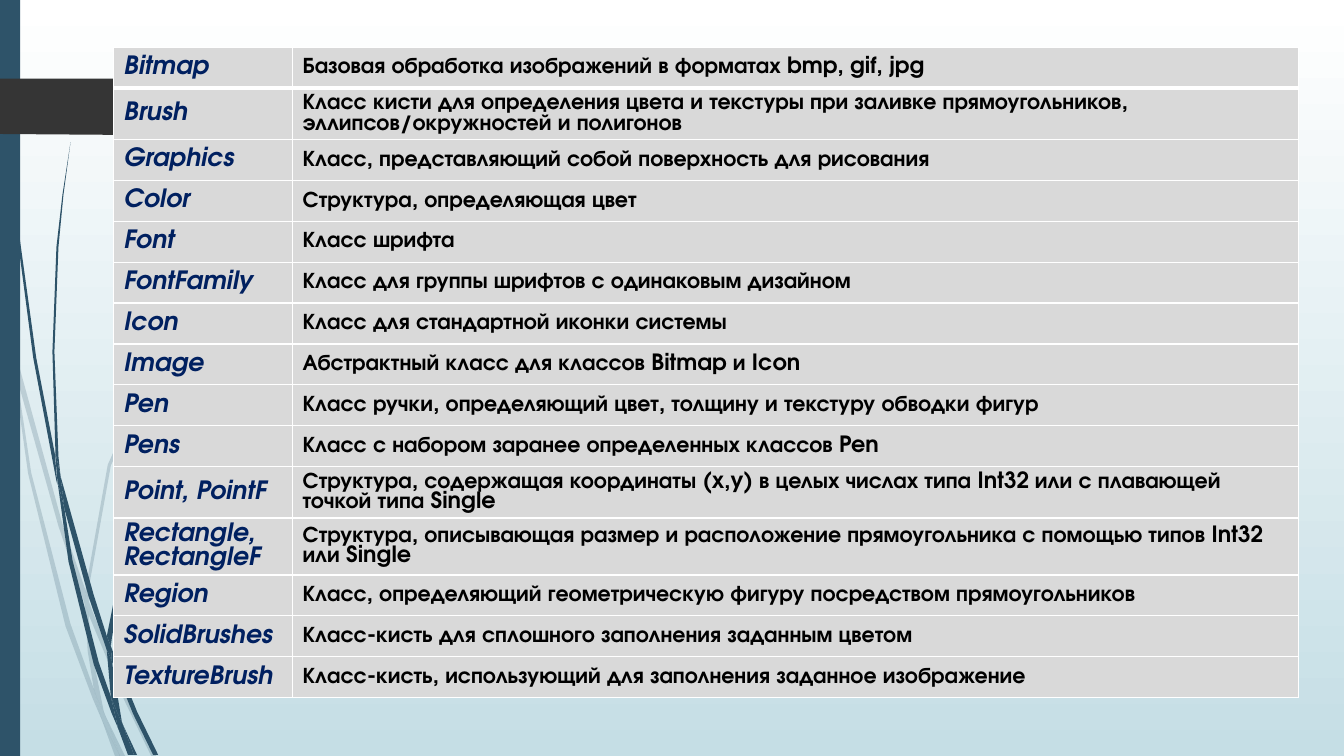
from dataclasses import dataclass

import pptx
import pptx.dml.color
import pptx.enum.shapes
import pptx.enum.text
import pptx.oxml
import pptx.oxml.ns
import pptx.util
from pptx.dml.color import RGBColor
from pptx.util import Cm

TEAL = RGBColor(0x2E, 0x53, 0x69)
CHARCOAL = RGBColor(0x35, 0x35, 0x35)
WHITE = RGBColor(0xFF, 0xFF, 0xFF)
SKY = RGBColor(0xC5, 0xDE, 0xE5)
GREY = RGBColor(0xD9, 0xD9, 0xD9)
NAVY = RGBColor(0x00, 0x20, 0x60)
BLACK = RGBColor(0x00, 0x00, 0x00)
FONT = "TeX Gyre Adventor"
UNIT = Cm(0.0254)  # grid step of the outlines below


@dataclass
class Outline:
    points: list[tuple[int, int]]
    color: RGBColor = TEAL
    opacity: int = 100


@dataclass
class TextStyle:
    size: int
    color: RGBColor
    italic: bool


@dataclass
class Entry:
    name: str
    meaning: str


NAME_STYLE = TextStyle(18, NAVY, True)
MEANING_STYLE = TextStyle(16, BLACK, False)

PALE_BLADES = [
    [(11, 350), (9, 322), (0, 282), (0, 299), (10, 344)],
    [(58, 522), (84, 599), (85, 586), (62, 520), (14, 345), (17, 376)],
    [(92, 607), (88, 596), (88, 610), (123, 694), (150, 750), (155, 750), (127, 692)],
    [(119, 750), (124, 750), (105, 711)],
    [(93, 683), (70, 619), (31, 469), (17, 376), (11, 350), (28, 470), (65, 621),
     (92, 693), (101, 714), (99, 707)],
    [(84, 599), (87, 646), (93, 683), (96, 692), (105, 711), (103, 706), (91, 646),
     (88, 610), (88, 608)],
    [(88, 584), (110, 462), (160, 349), (229, 245), (268, 198), (290, 175), (312, 154),
     (312, 153), (289, 175), (268, 197), (228, 244), (158, 348), (107, 461), (85, 584),
     (85, 586), (88, 596)],
    [(101, 714), (114, 750), (119, 750)],
    [(88, 608), (88, 610), (88, 596), (85, 586), (84, 599)],
    [(96, 692), (93, 683), (99, 707), (101, 714), (119, 750), (105, 711)],
]
DARK_BLADES = [
    [(7, 110), (17, 233), (33, 355), (56, 477), (57, 481), (55, 457), (55, 453),
     (36, 355), (19, 232), (8, 109), (5, 48), (4, 0), (3, 0), (4, 48)],
    [(88, 592), (106, 645), (106, 633), (106, 631), (93, 590), (60, 472), (64, 505)],
    [(113, 649), (110, 641), (111, 656), (132, 708), (152, 749), (157, 749), (136, 706)],
    [(110, 691), (98, 657), (72, 556), (64, 505), (57, 477), (68, 557), (93, 659),
     (111, 708), (117, 722), (116, 717)],
    [(60, 472), (58, 453), (54, 349), (58, 245), (63, 193), (70, 141), (62, 193),
     (56, 245), (52, 349), (55, 449)],
    [(133, 749), (136, 749), (122, 719)],
    [(57, 477), (64, 505), (60, 472), (55, 449), (55, 453)],
    [(111, 633), (125, 552), (158, 476), (205, 406), (231, 374), (245, 359), (261, 344),
     (260, 344), (245, 358), (231, 373), (204, 405), (156, 474), (122, 551), (106, 631),
     (110, 641)],
    [(117, 722), (127, 749), (131, 749)],
    [(106, 645), (110, 691), (116, 706), (122, 719), (121, 716), (111, 656), (109, 651)],
    [(106, 645), (109, 651), (111, 656), (110, 641), (106, 631), (106, 633)],
    [(116, 706), (110, 691), (116, 717), (117, 722), (130, 749), (133, 749), (122, 719)],
]
TAB = [(173, 108), (148, 133), (146, 134), (136, 134), (0, 133), (0, 78), (136, 78),
       (146, 78), (148, 79), (173, 104), (174, 106)]

ENTRIES = [
    Entry("Bitmap", "Базовая обработка изображений в форматах bmp, gif, jpg"),
    Entry("Brush", "Класс кисти для определения цвета и текстуры при заливке "
                   "прямоугольников, эллипсов/окружностей и полигонов"),
    Entry("Graphics", "Класс, представляющий собой поверхность для рисования"),
    Entry("Color", "Структура, определяющая цвет"),
    Entry("Font", "Класс шрифта"),
    Entry("FontFamily", "Класс для группы шрифтов с одинаковым дизайном"),
    Entry("Icon", "Класс для стандартной иконки системы"),
    Entry("Image", "Абстрактный класс для классов Bitmap и Icon"),
    Entry("Pen", "Класс ручки, определяющий цвет, толщину и текстуру обводки фигур"),
    Entry("Pens", "Класс с набором заранее определенных классов Pen"),
    Entry("Point, PointF", "Структура, содержащая координаты (x,y) в целых числах типа "
                           "Int32 или с плавающей точкой типа Single"),
    Entry("Rectangle, RectangleF", "Структура, описывающая размер и расположение "
                                   "прямоугольника с помощью типов Int32 или Single"),
    Entry("Region", "Класс, определяющий геометрическую фигуру посредством прямоугольников"),
    Entry("SolidBrushes", "Класс-кисть для сплошного заполнения заданным цветом"),
    Entry("TextureBrush", "Класс-кисть, использующий для заполнения заданное изображение"),
]


def paint(sp, color: RGBColor, opacity: int = 100) -> None:
    sp.shadow.inherit = False
    sp.line.fill.background()
    sp.fill.solid()
    sp.fill.fore_color.rgb = color
    if opacity < 100:
        clr = sp.fill._xPr.find(".//" + pptx.oxml.ns.qn("a:srgbClr"))
        clr.append(pptx.oxml.parse_xml(
            f'<a:alpha {pptx.oxml.ns.nsdecls("a")} val="{opacity * 1000}"/>'))


def draw_outline(s, outline: Outline) -> None:
    builder = s.shapes.build_freeform(*outline.points[0], scale=float(UNIT))
    builder.add_line_segments(outline.points[1:], close=True)
    paint(builder.convert_to_shape(), outline.color, outline.opacity)


def set_borders(cell, top: int, bottom: int) -> None:
    tc_pr = cell._tc.get_or_add_tcPr()
    widths = {"lnL": 1, "lnR": 1, "lnT": top, "lnB": bottom}
    for i, (side, width) in enumerate(widths.items()):
        tc_pr.insert(i, pptx.oxml.parse_xml(
            f'<a:{side} {pptx.oxml.ns.nsdecls("a")} w="{pptx.util.Pt(width)}">'
            f'<a:solidFill><a:srgbClr val="{WHITE}"/></a:solidFill></a:{side}>'))


def fill_cell(cell, text: str, style: TextStyle) -> None:
    cell.fill.solid()
    cell.fill.fore_color.rgb = GREY
    cell.vertical_anchor = pptx.enum.text.MSO_ANCHOR.MIDDLE
    r = cell.text_frame.paragraphs[0].add_run()
    r.text = text
    r.font.name = FONT
    r.font.size = pptx.util.Pt(style.size)
    r.font.bold = True
    r.font.italic = style.italic
    r.font.color.rgb = style.color


def draw_table(s, entries: list[Entry]) -> None:
    row_height = Cm(1.03)
    frame = s.shapes.add_table(len(entries), 2, Cm(2.87), Cm(1.19),
                               Cm(29.85), row_height * len(entries))
    table = frame.table
    table.columns[0].width = Cm(4.5)
    table.columns[1].width = Cm(25.35)
    for i, entry in enumerate(entries):
        table.rows[i].height = row_height
        texts = [(entry.name, NAME_STYLE), (entry.meaning, MEANING_STYLE)]
        for j, (text, style) in enumerate(texts):
            cell = table.cell(i, j)
            fill_cell(cell, text, style)
            set_borders(cell, top=3 if i == 1 else 1, bottom=3 if i == 0 else 1)


def main() -> None:
    prs = pptx.Presentation()
    prs.slide_width, prs.slide_height = Cm(33.87), Cm(19.05)
    s = prs.slides.add_slide(prs.slide_layouts[6])

    # Background
    fill = s.background.fill
    fill.gradient()
    fill.gradient_angle = 270
    for stop, color in zip(fill.gradient_stops, (WHITE, SKY)):
        stop.color.rgb = color

    # Grass blades, side bar and tab
    for points in PALE_BLADES:
        draw_outline(s, Outline(points, opacity=20))
    for points in DARK_BLADES:
        draw_outline(s, Outline(points))
    bar = s.shapes.add_shape(pptx.enum.shapes.MSO_SHAPE.RECTANGLE,
                             0, 0, Cm(0.51), prs.slide_height)
    paint(bar, TEAL)
    draw_outline(s, Outline(TAB, CHARCOAL))

    # Class reference
    draw_table(s, ENTRIES)
    prs.save("out.pptx")


if __name__ == "__main__":
    main()
